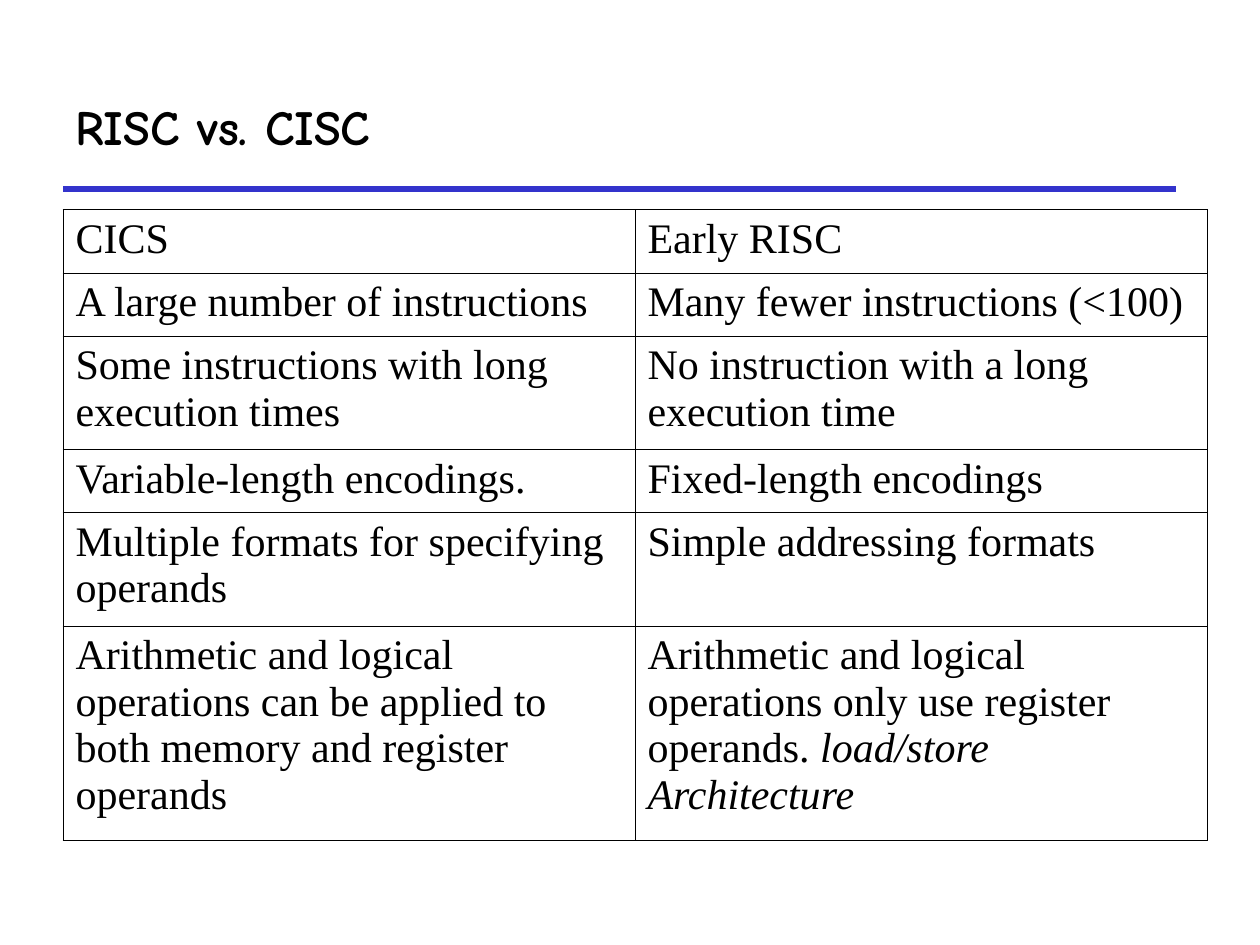
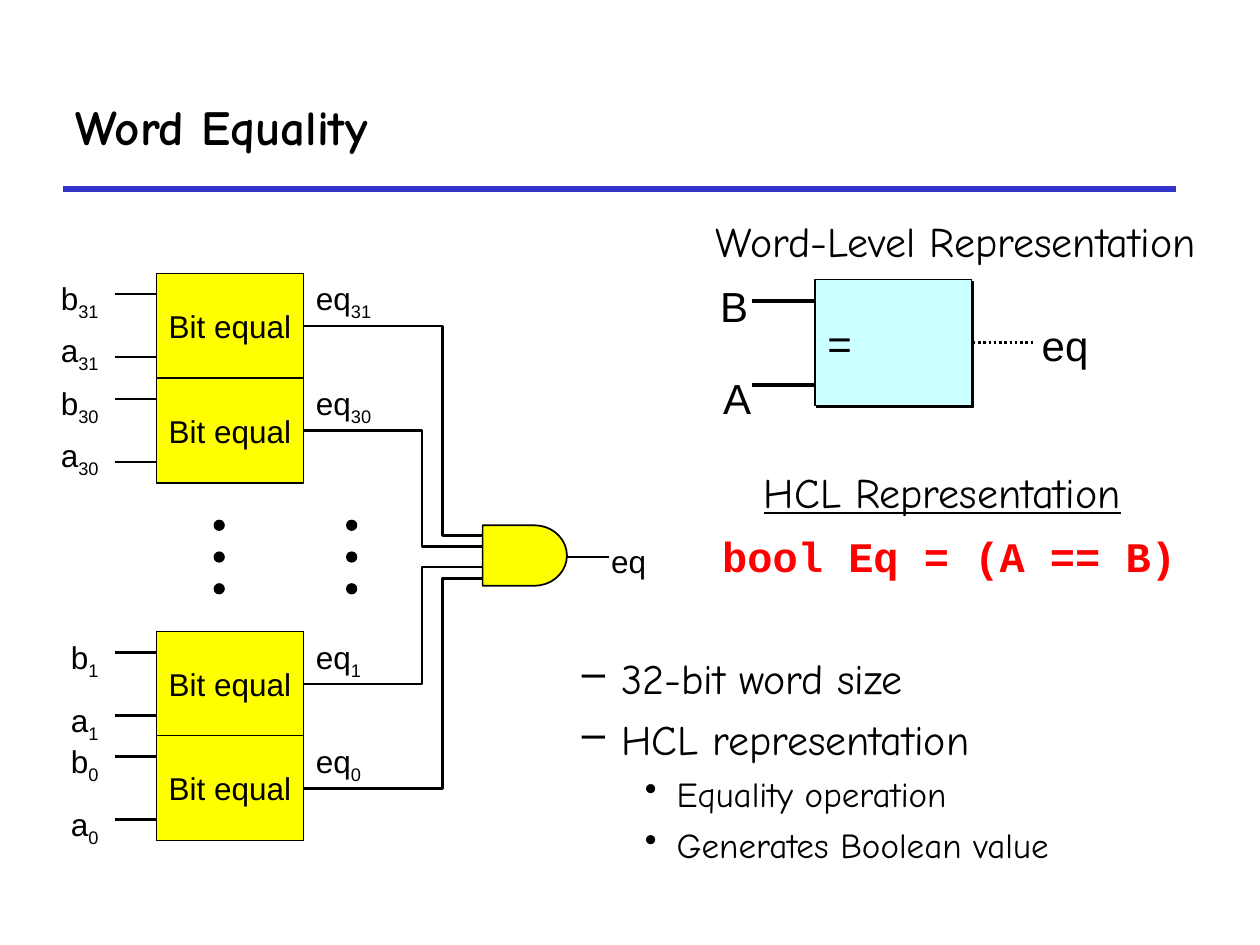
from math import cos, radians, sin

from lxml.etree import SubElement
from pptx import Presentation
from pptx.dml.color import RGBColor
from pptx.enum.dml import MSO_LINE
from pptx.enum.shapes import MSO_CONNECTOR, MSO_SHAPE
from pptx.enum.text import MSO_ANCHOR, PP_ALIGN
from pptx.oxml.ns import qn
from pptx.util import Cm, Pt

BLACK = RGBColor(0x00, 0x00, 0x00)
WHITE = RGBColor(0xFF, 0xFF, 0xFF)
BLUE = RGBColor(0x33, 0x33, 0xCC)
RED = RGBColor(0xFF, 0x00, 0x00)
YELLOW = RGBColor(0xFF, 0xFF, 0x00)
CYAN = RGBColor(0xCC, 0xFF, 0xFF)

HAND = "Comic Neue"
SANS = "Arial"
SERIF = "Times New Roman"
MONO = "Courier New"


class Painter:
    def __init__(self):
        self.deck = Presentation()
        self.deck.slide_width = Cm(25.4)
        self.deck.slide_height = Cm(19.05)
        self.page = None

    def start_page(self, title):
        self.page = self.deck.slides.add_slide(self.deck.slide_layouts[6])
        self.line(1.27, 3.81, 23.7, 3.81, 3, BLUE)
        self.text(1.27, 1.27, 22.43, 2.54, title, 28, HAND, before=0, wrap=True,
                  anchor=MSO_ANCHOR.MIDDLE, bold=True)

    def run(self, para, words, size, font, color=BLACK, bold=False,
            italic=False, underline=False, subscript=False):
        span = para.add_run()
        span.text = words
        span.font.size = Pt(size)
        span.font.name = font
        span.font.color.rgb = color
        span.font.bold = bold
        span.font.italic = italic
        span.font.underline = underline
        if subscript:
            span.font._element.set("baseline", "-25000")

    def fill_frame(self, frame, words, size, font, subscript="", before=6, wrap=False,
                   margin=0.25, align=PP_ALIGN.LEFT, anchor=MSO_ANCHOR.TOP, **style):
        frame.word_wrap = wrap
        frame.vertical_anchor = anchor
        frame.margin_left = frame.margin_right = Cm(margin)
        para = frame.paragraphs[0]
        para.alignment = align
        para.space_before = Pt(before)
        self.run(para, words, size, font, **style)
        if subscript:
            self.run(para, subscript, size, font, subscript=True, **style)

    def text(self, left, top, width, height, words, size, font, **options):
        box = self.page.shapes.add_textbox(Cm(left), Cm(top), Cm(width), Cm(height))
        self.fill_frame(box.text_frame, words, size, font, **options)

    def shape(self, kind, left, top, width, height, fill):
        box = self.page.shapes.add_shape(kind, Cm(left), Cm(top), Cm(width), Cm(height))
        box.shadow.inherit = False
        box.fill.solid()
        box.fill.fore_color.rgb = fill
        box.line.color.rgb = BLACK
        box.line.width = Pt(0.75)
        return box

    def hard_shadow(self, box):
        effects = box._element.spPr.find(qn("a:effectLst"))
        shadow = SubElement(effects, qn("a:outerShdw"), dist=str(Pt(1.4)),
                            dir="2700000", algn="ctr", rotWithShape="0")
        SubElement(shadow, qn("a:srgbClr"), val=str(BLACK))

    def line(self, x1, y1, x2, y2, width=1.5, color=BLACK, dash=None):
        link = self.page.shapes.add_connector(
            MSO_CONNECTOR.STRAIGHT, Cm(x1), Cm(y1), Cm(x2), Cm(y2))
        link.line.color.rgb = color
        link.line.width = Pt(width)
        if dash:
            link.line.dash_style = dash
        SubElement(link._element.spPr, qn("a:effectLst"))

    def outline(self, points, width, fill=None):
        corners = [(Cm(x), Cm(y)) for x, y in points]
        builder = self.page.shapes.build_freeform(*corners[0])
        builder.add_line_segments(corners[1:], close=fill is not None)
        path_shape = builder.convert_to_shape()
        path_shape.shadow.inherit = False
        path_shape.line.color.rgb = BLACK
        path_shape.line.width = Pt(width)
        if fill is None:
            path_shape.fill.background()
        else:
            path_shape.fill.solid()
            path_shape.fill.fore_color.rgb = fill

    def bullets(self, left, top, width, height, items):
        box = self.page.shapes.add_textbox(Cm(left), Cm(top), Cm(width), Cm(height))
        frame = box.text_frame
        frame.word_wrap = True
        levels = {1: ("–", 24, 6, 2.06, 0.79), 2: ("•", 20, 5, 3.18, 0.64)}
        for index, (level, words) in enumerate(items):
            mark, size, before, indent, hanging = levels[level]
            para = frame.add_paragraph() if index else frame.paragraphs[0]
            para.level = level
            para.space_before = Pt(before)
            self.run(para, words, size, HAND)
            layout = para._p.get_or_add_pPr()
            layout.set("marL", str(Cm(indent)))
            layout.set("indent", str(-Cm(hanging)))
            SubElement(layout, qn("a:buChar"), char=mark)

    def border(self, cell):
        edges = cell._tc.get_or_add_tcPr()
        for side in ("a:lnL", "a:lnR", "a:lnT", "a:lnB"):
            edge = SubElement(edges, qn(side), w=str(Pt(0.45)))
            paint = SubElement(edge, qn("a:solidFill"))
            SubElement(paint, qn("a:srgbClr"), val=str(BLACK))

    def table(self, left, top, column_width, heights, rows):
        columns = len(rows[0])
        grid = self.page.shapes.add_table(
            len(rows), columns, Cm(left), Cm(top),
            Cm(column_width * columns), Cm(sum(heights))).table
        grid.first_row = grid.horz_banding = False
        for column in grid.columns:
            column.width = Cm(column_width)
        for row, height, entries in zip(grid.rows, heights, rows):
            row.height = Cm(height)
            for cell, (words, emphasis) in zip(row.cells, entries):
                self.border(cell)
                cell.fill.solid()
                cell.fill.fore_color.rgb = WHITE
                para = cell.text_frame.paragraphs[0]
                self.run(para, words, 24, SERIF)
                if emphasis:
                    self.run(para, emphasis, 24, SERIF, italic=True)


def draw_comparison(painter):
    painter.start_page("RISC vs. CISC")
    pairs = [
        ("CICS", "Early RISC"),
        ("A large number of instructions", "Many fewer instructions (<100)"),
        ("Some instructions with long execution times",
         "No instruction with a long execution time"),
        ("Variable-length encodings.", "Fixed-length encodings"),
        ("Multiple formats for specifying operands", "Simple addressing formats"),
        ("Arithmetic and logical operations can be applied to both memory "
         "and register operands",
         "Arithmetic and logical operations only use register operands. "),
    ]
    rows = [[(words, "") for words in pair] for pair in pairs]
    rows[-1][1] = (pairs[-1][1], "load/store Architecture")
    painter.table(1.27, 4.23, 11.53, [1.27, 1.27, 2.29, 1.27, 2.29, 4.32], rows)


def draw_bit_comparator(painter, bit, top, a_drop, turn, gate_entry):
    painter.outline([(6.12, top + 1.06), (turn, top + 1.06),
                     (turn, gate_entry), (9.73, gate_entry)], 1.5)
    label_width = 0.88 + 0.21 * len(bit)
    for name, drop, wire_drop in (("b", 0, 0.42), ("a", a_drop, 1.69)):
        painter.text(2.24 - label_width, top + drop, label_width, 1.14, name, 18, SANS,
                     subscript=bit, before=4.5, align=PP_ALIGN.RIGHT)
        painter.line(2.31, top + wire_drop, 3.15, top + wire_drop)
    box = painter.shape(MSO_SHAPE.RECTANGLE, 3.15, top, 2.97, 2.12, YELLOW)
    painter.fill_frame(box.text_frame, "Bit equal", 18, SANS, before=4.5, margin=0,
                       align=PP_ALIGN.CENTER, anchor=MSO_ANCHOR.MIDDLE)
    painter.text(6.12, top, 2.1, 1.14, "eq", 18, SANS,
                 subscript=bit, before=4.5, wrap=True)


def draw_and_gate(painter):
    arc = [(10.77 + 0.66 * cos(radians(angle)), 11.2 + 0.61 * sin(radians(angle)))
           for angle in range(-90, 91, 10)]
    painter.outline([(9.73, 10.59), *arc, (9.73, 11.81)], 1, YELLOW)
    painter.line(11.43, 11.23, 12.27, 11.23)
    painter.text(12.07, 10.8, 1.68, 1.04, "eq", 18, SANS, before=4.5, wrap=True)


def draw_word_block(painter):
    block = painter.shape(MSO_SHAPE.RECTANGLE, 16.43, 5.64, 3.15, 2.54, CYAN)
    painter.hard_shadow(block)
    painter.fill_frame(block.text_frame, "=", 24, SANS, wrap=True,
                       anchor=MSO_ANCHOR.MIDDLE)
    for wire_top in (6.07, 7.77):
        painter.line(15.16, wire_top, 16.43, wire_top, 2.25)
    painter.line(19.61, 6.91, 20.88, 6.91, dash=MSO_LINE.ROUND_DOT)
    for words, left, top, width in (("B", 14.27, 5.54, 1.09), ("A", 14.33, 7.39, 1.09),
                                    ("eq", 20.75, 6.32, 1.47)):
        painter.text(left, top, width, 1.3, words, 24, SANS)


def draw_word_equality(painter):
    painter.start_page("Word Equality")
    painter.bullets(10.21, 13.03, 13.28, 5.38, [
        (1, "32-bit word size"), (1, "HCL representation"),
        (2, "Equality operation"), (2, "Generates Boolean value")])
    draw_word_block(painter)
    painter.text(14.3, 4.22, 10.08, 1.3, "Word-Level Representation", 24, HAND,
                 margin=0.13)
    painter.text(14.43, 10.57, 9.42, 1.3, "bool Eq = (A == B)", 24, MONO,
                 margin=0.13, color=RED, bold=True)
    painter.text(15.27, 9.27, 7.52, 1.3, "HCL Representation", 24, HAND,
                 margin=0.13, underline=True)
    for bit, top, a_drop, turn, gate_entry in (
            ("31", 5.51, 1.04, 8.92, 10.8), ("30", 7.62, 1.04, 8.51, 11.02),
            ("1", 12.73, 1.27, 8.51, 11.43), ("0", 14.83, 1.27, 8.92, 11.66)):
        draw_bit_comparator(painter, bit, top, a_drop, turn, gate_entry)
    for left in (4.32, 6.99):
        for step in range(3):
            painter.shape(MSO_SHAPE.OVAL, left, 10.49 + 0.64 * step, 0.2, 0.2, BLACK)
    draw_and_gate(painter)


def main():
    painter = Painter()
    draw_comparison(painter)
    draw_word_equality(painter)
    painter.deck.save("out.pptx")


if __name__ == "__main__":
    main()
